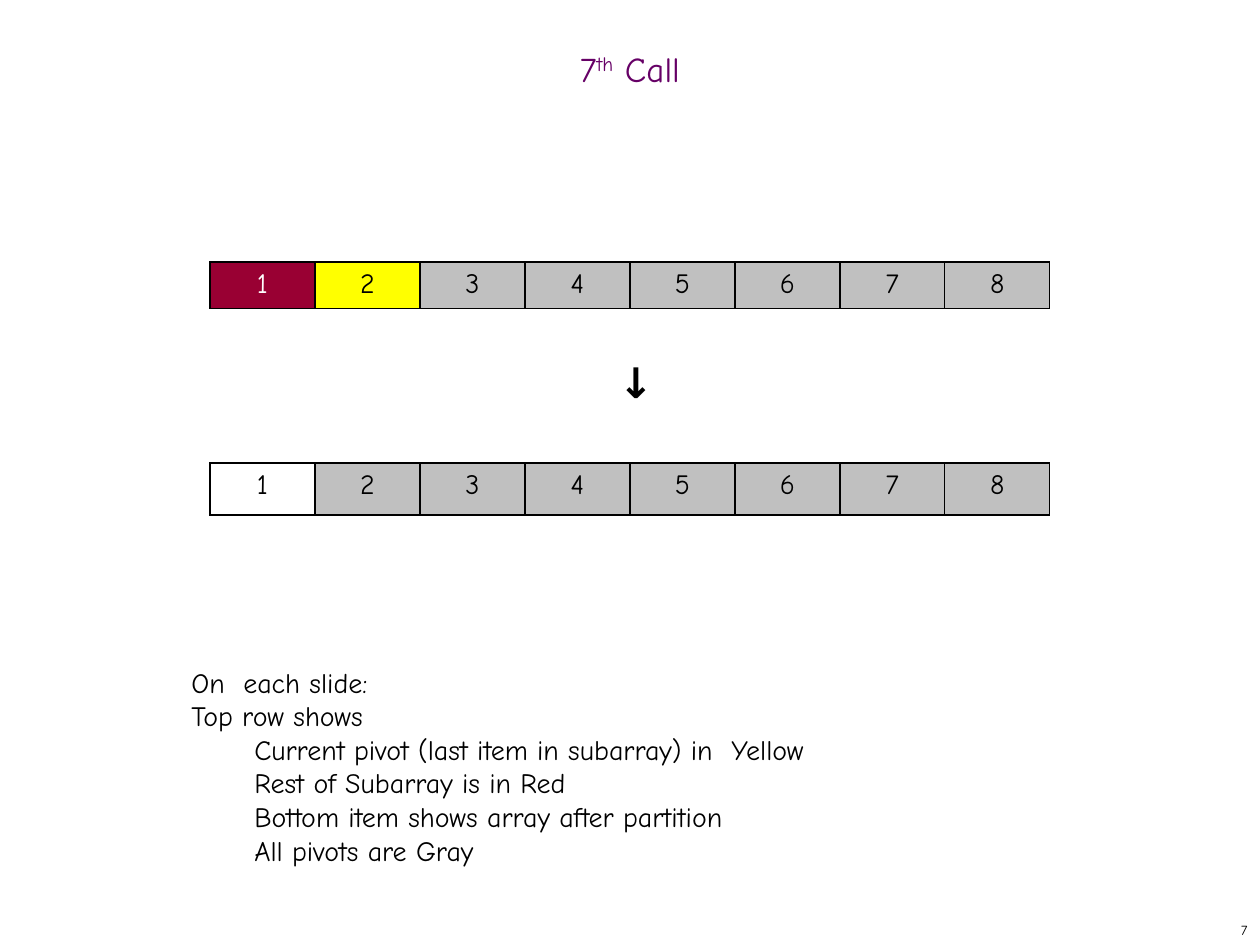
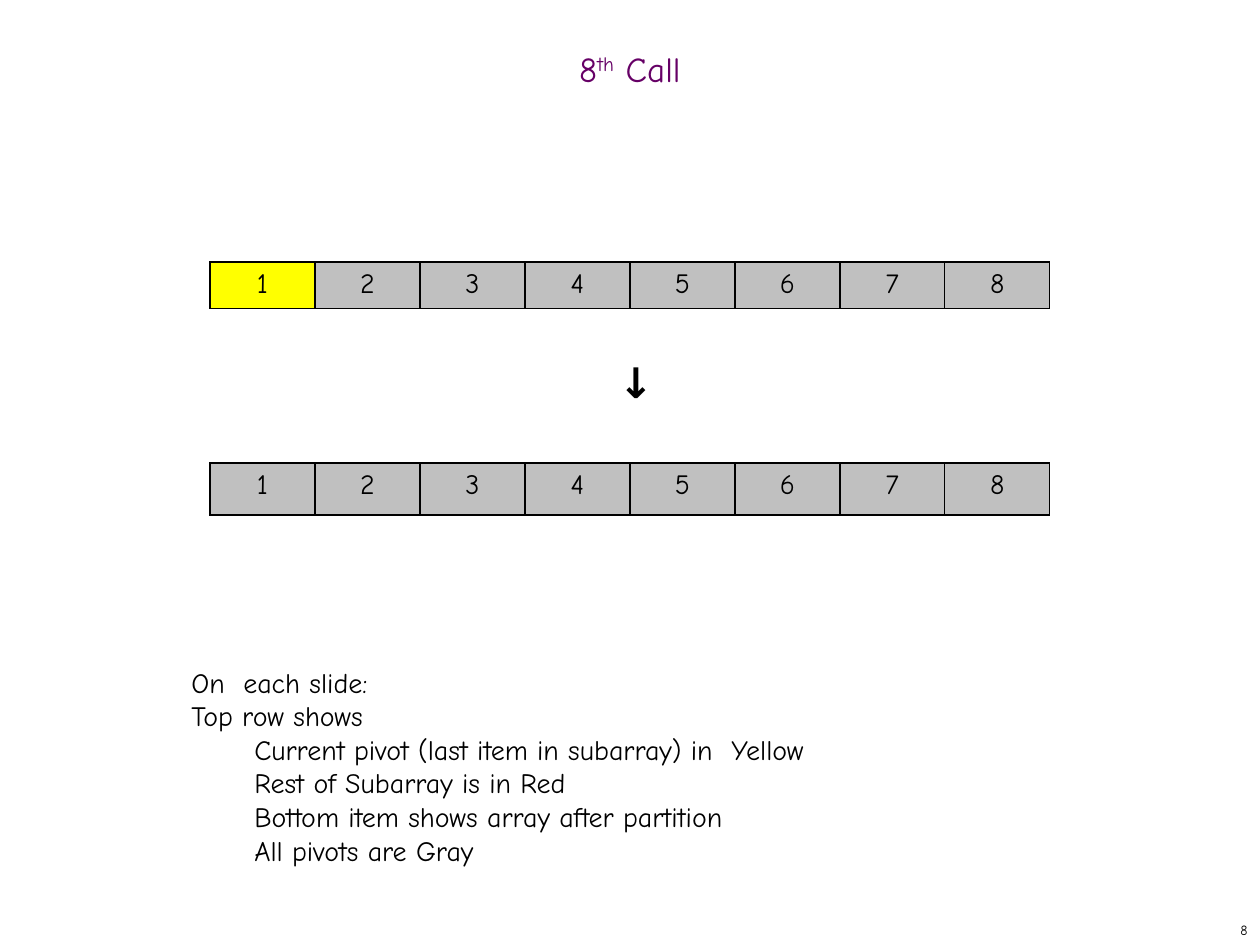
from dataclasses import dataclass

from lxml.etree import SubElement
from pptx import Presentation
from pptx.dml.color import RGBColor
from pptx.enum.text import MSO_ANCHOR, PP_ALIGN
from pptx.oxml.ns import qn
from pptx.util import Emu, Pt

CALLS = [
    {"number": 7, "before": ["rest", "pivot"] + ["done"] * 6,
     "after": ["open"] + ["done"] * 7},
    {"number": 8, "before": ["pivot"] + ["done"] * 7,
     "after": ["done"] * 8},
]
LEGEND = [  # (level, text)
    (0, "On  each slide:"),
    (0, "Top row shows"),
    (1, "Current pivot (last item in subarray) in  Yellow"),
    (1, "Rest of Subarray is in Red"),
    (1, "Bottom item shows array after partition"),
    (1, "All pivots are Gray"),
]


@dataclass(frozen=True)
class Theme:
    font: str = "Comic Neue"
    title: str = "660066"
    ink: str = "000000"
    title_size: int = 20
    body_size: int = 16
    arrow_size: int = 24
    number_size: int = 8
    border: float = 1


THEME = Theme()
CELL_COLOURS = {  # role: (fill, text)
    "rest": ("990033", "FFFFFF"),
    "pivot": ("FFFF00", THEME.ink),
    "done": ("C0C0C0", THEME.ink),
    "open": ("FFFFFF", THEME.ink),
}

WIDTH, HEIGHT = 1260, 945
CELL_WIDTH = 105
INDENT = 63
TITLE_BOX = (0, 42, WIDTH, 63)
ARROW_BOX = (606, 350, 60, 63)
LEGEND_BOX = (179, 659, 1007, 217)
NUMBER_BOX = (998, 914, 262, 31)
BEFORE_TOP, BEFORE_HEIGHT = 262, 46
AFTER_TOP, AFTER_HEIGHT = 463, 52


def px(length):
    return Emu(round(length * 914400 / 126))


def style(paragraph, size, colour=THEME.ink, bold=False):
    font = paragraph.font
    font.name, font.size, font.bold = THEME.font, Pt(size), bold
    font.color.rgb = RGBColor.from_string(colour)


def add_text_box(slide, box, anchor=MSO_ANCHOR.TOP):
    frame = slide.shapes.add_textbox(*map(px, box)).text_frame
    frame.word_wrap = True
    frame.vertical_anchor = anchor
    return frame


def add_title(slide, number):
    paragraph = add_text_box(slide, TITLE_BOX, MSO_ANCHOR.MIDDLE).paragraphs[0]
    for text in (str(number), "th", " Call"):
        run = paragraph.add_run()
        run.text = text
        if text == "th":
            run._r.get_or_add_rPr().set("baseline", "30000")
    paragraph.alignment = PP_ALIGN.CENTER
    paragraph.line_spacing = 0.7
    style(paragraph, THEME.title_size, THEME.title)


def add_number(slide, number):
    paragraph = add_text_box(slide, NUMBER_BOX, MSO_ANCHOR.MIDDLE).paragraphs[0]
    paragraph.text = str(number)
    paragraph.alignment = PP_ALIGN.RIGHT
    style(paragraph, THEME.number_size)


def add_arrow(slide):
    paragraph = add_text_box(slide, ARROW_BOX).paragraphs[0]
    paragraph.text = "↓"
    style(paragraph, THEME.arrow_size, bold=True)


def add_legend(slide):
    frame = add_text_box(slide, LEGEND_BOX)
    for index, (level, text) in enumerate(LEGEND):
        paragraph = frame.add_paragraph() if index else frame.paragraphs[0]
        paragraph.text = text
        paragraph.level = level
        properties = paragraph._p.get_or_add_pPr()
        properties.set("marL", str(px(level * INDENT)))
        properties.set("indent", "0")
        style(paragraph, THEME.body_size)


def add_borders(cell):
    properties = cell._tc.get_or_add_tcPr()
    for side in ("lnL", "lnR", "lnT", "lnB"):
        line = SubElement(properties, qn(f"a:{side}"), w=str(Pt(THEME.border)))
        fill = SubElement(line, qn("a:solidFill"))
        SubElement(fill, qn("a:srgbClr"), val=THEME.ink)


def add_array(slide, roles, top, height):
    """Draw the numbered array as a one-row table, coloured by role."""
    width = CELL_WIDTH * len(roles)
    box = ((WIDTH - width) / 2, top, width, height)
    table = slide.shapes.add_table(1, len(roles), *map(px, box)).table
    table.first_row = table.horz_banding = False
    for column, role in enumerate(roles):
        fill, ink = CELL_COLOURS[role]
        table.columns[column].width = px(CELL_WIDTH)
        cell = table.cell(0, column)
        add_borders(cell)
        cell.fill.solid()
        cell.fill.fore_color.rgb = RGBColor.from_string(fill)
        paragraph = cell.text_frame.paragraphs[0]
        paragraph.text = str(column + 1)
        paragraph.alignment = PP_ALIGN.CENTER
        style(paragraph, THEME.body_size, ink)


def main():
    presentation = Presentation()
    presentation.slide_width, presentation.slide_height = px(WIDTH), px(HEIGHT)
    for call in CALLS:
        slide = presentation.slides.add_slide(presentation.slide_layouts[6])
        add_title(slide, call["number"])
        add_number(slide, call["number"])
        add_arrow(slide)
        add_legend(slide)
        add_array(slide, call["after"], AFTER_TOP, AFTER_HEIGHT)
        add_array(slide, call["before"], BEFORE_TOP, BEFORE_HEIGHT)
    presentation.save("out.pptx")


if __name__ == "__main__":
    main()
